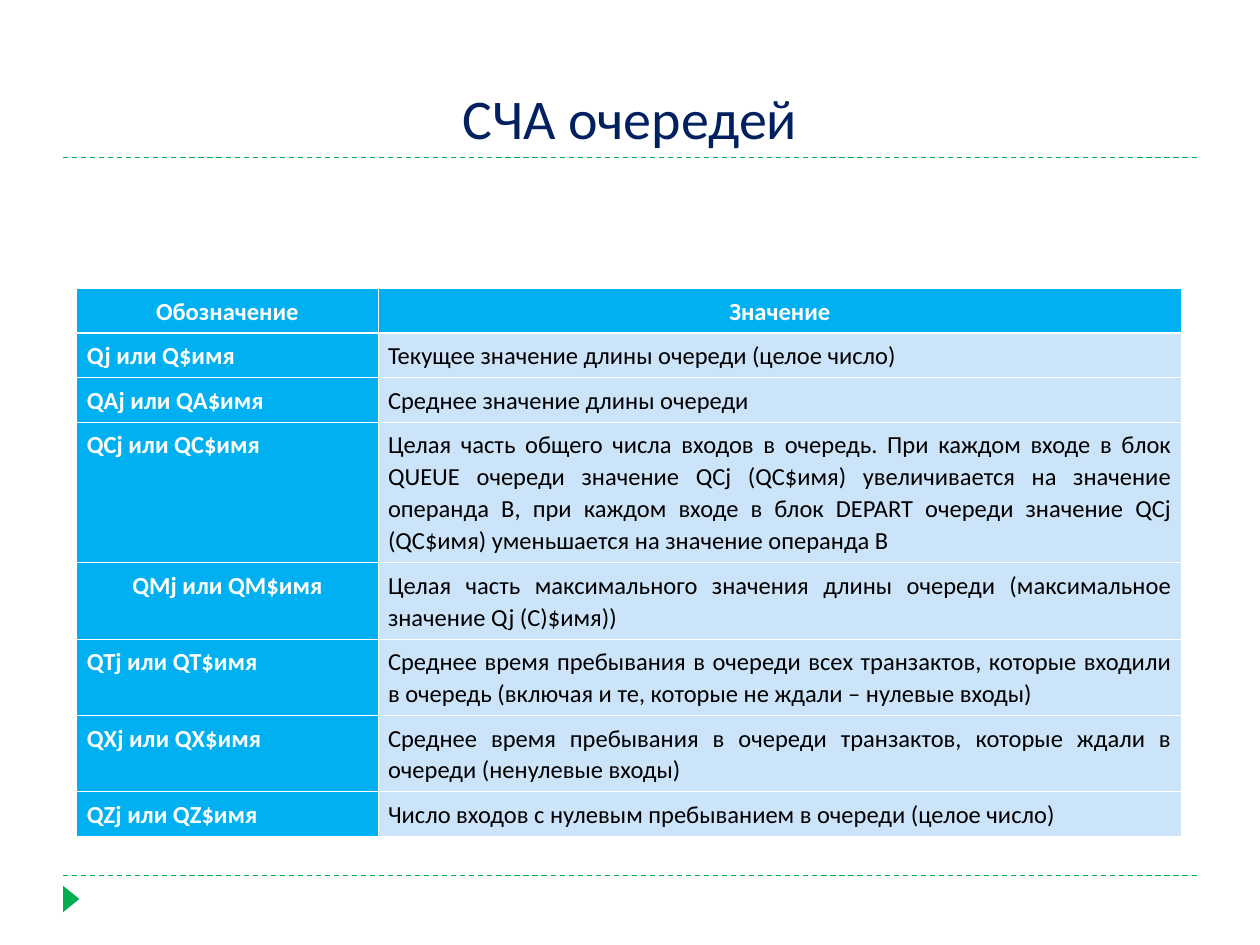
from dataclasses import dataclass

from lxml import etree
from pptx import Presentation
from pptx import util as u
from pptx.dml.color import RGBColor
from pptx.enum import dml, shapes, text
from pptx.oxml import ns


@dataclass(frozen=True)
class Theme:
    font: str = "Calibri"
    title_size: int = 32
    table_size: int = 14
    navy: str = "002060"
    green: str = "00B050"
    blue: str = "00B0F0"
    pale: str = "CBE4F9"
    white: str = "FFFFFF"
    black: str = "000000"
    rule_width: float = 0.75
    border: float = 0.45
    header_border: float = 1.47


THEME = Theme()
WIDTH, HEIGHT = 10, 7.5
MARGIN = WIDTH * 0.05
LINE_HEIGHT = 0.25
COLUMN_WIDTHS = (2.39, 6.38)
LEFT, CENTER, JUSTIFY = text.PP_ALIGN.LEFT, text.PP_ALIGN.CENTER, text.PP_ALIGN.JUSTIFY

HEADER = ("Обозначение", "Значение")
ROWS = [
    ("Qj или Q$имя", LEFT, 1, "Текущее значение длины очереди (целое число)"),
    ("QAj или QA$имя", LEFT, 1, "Среднее значение длины очереди"),
    ("QCj или QC$имя", LEFT, 4,
     "Целая часть общего числа входов в очередь. При каждом входе в блок QUEUE "
     "очереди значение QCj (QC$имя) увеличивается на значение операнда В, при каждом "
     "входе в блок DEPART очереди значение QCj (QC$имя) уменьшается на значение операнда В"),
    ("QMj или QM$имя", CENTER, 2,
     "Целая часть максимального значения длины очереди (максимальное значение Qj (С)$имя))"),
    ("QTj или QT$имя", LEFT, 2,
     "Среднее время пребывания в очереди всех транзактов, которые входили в очередь "
     "(включая и те, которые не ждали – нулевые входы)"),
    ("QXj или QX$имя", LEFT, 2,
     "Среднее время пребывания в очереди транзактов, которые ждали в очереди (ненулевые входы)"),
    ("QZj или QZ$имя", LEFT, 1, "Число входов с нулевым пребыванием в очереди (целое число)"),
]


def color(value):
    return RGBColor.from_string(value)


def add_run(paragraph, content, size, ink, bold=False):
    run = paragraph.add_run()
    run.text = content
    run.font.name = THEME.font
    run.font.size = u.Pt(size)
    run.font.bold = bold
    run.font.color.rgb = color(ink)


def set_title(slide, content):
    title = slide.shapes.title
    title.left, title.top = u.Inches(MARGIN), u.Inches(0.17)
    title.width, title.height = u.Inches(WIDTH - 2 * MARGIN), u.Inches(1.08)
    frame = title.text_frame
    frame.auto_size = text.MSO_AUTO_SIZE.NONE
    frame.vertical_anchor = text.MSO_ANCHOR.BOTTOM
    paragraph = frame.paragraphs[0]
    paragraph.alignment = CENTER
    add_run(paragraph, content, THEME.title_size, THEME.navy)


def add_rule(slide, y):
    rule = slide.shapes.add_connector(
        shapes.MSO_CONNECTOR.STRAIGHT,
        u.Inches(MARGIN), u.Inches(y), u.Inches(WIDTH - MARGIN), u.Inches(y))
    rule.line.color.rgb = color(THEME.green)
    rule.line.width = u.Pt(THEME.rule_width)
    rule.line.dash_style = dml.MSO_LINE.DASH
    etree.SubElement(rule._element.spPr, ns.qn("a:effectLst"))


def add_marker(slide):
    marker = slide.shapes.add_shape(
        shapes.MSO_SHAPE.ISOSCELES_TRIANGLE,
        u.Inches(0.46), u.Inches(7.07), u.Inches(0.21), u.Inches(0.13))
    marker.rotation = 90
    marker.shadow.inherit = False
    marker.fill.solid()
    marker.fill.fore_color.rgb = color(THEME.green)
    marker.line.fill.background()


def set_borders(cell, top, bottom):
    properties = cell._tc.get_or_add_tcPr()
    widths = {"L": THEME.border, "R": THEME.border, "T": top, "B": bottom}
    for side, width in widths.items():
        line = etree.SubElement(properties, ns.qn(f"a:ln{side}"), w=str(int(u.Pt(width))))
        fill = etree.SubElement(line, ns.qn("a:solidFill"))
        etree.SubElement(fill, ns.qn("a:srgbClr"), val=THEME.white)


def fill_cell(table, row, column, content, alignment):
    cell = table.cell(row, column)
    is_label = row == 0 or column == 0
    cell.margin_left = cell.margin_right = u.Inches(0.08)
    cell.margin_top = cell.margin_bottom = u.Inches(0.05)
    set_borders(cell,
                THEME.header_border if row == 1 else THEME.border,
                THEME.header_border if row == 0 else THEME.border)
    cell.fill.solid()
    cell.fill.fore_color.rgb = color(THEME.blue if is_label else THEME.pale)
    paragraph = cell.text_frame.paragraphs[0]
    paragraph.alignment = alignment
    paragraph.line_spacing = 1.07
    add_run(paragraph, content, THEME.table_size,
            THEME.white if is_label else THEME.black, is_label)


def add_queue_table(slide):
    line_counts = [1] + [lines for _, _, lines, _ in ROWS]
    table = slide.shapes.add_table(
        len(line_counts), len(COLUMN_WIDTHS), u.Inches(0.61), u.Inches(2.29),
        u.Inches(sum(COLUMN_WIDTHS)), u.Inches(sum(line_counts) * LINE_HEIGHT)).table
    for column, width in zip(table.columns, COLUMN_WIDTHS):
        column.width = u.Inches(width)
    for row, lines in zip(table.rows, line_counts):
        row.height = u.Inches(lines * LINE_HEIGHT)
    for column, heading in enumerate(HEADER):
        fill_cell(table, 0, column, heading, CENTER)
    for row, (label, alignment, _, meaning) in enumerate(ROWS, start=1):
        fill_cell(table, row, 0, label, alignment)
        fill_cell(table, row, 1, meaning, JUSTIFY)


def main():
    presentation = Presentation()
    presentation.slide_width = u.Inches(WIDTH)
    presentation.slide_height = u.Inches(HEIGHT)
    slide = presentation.slides.add_slide(presentation.slide_layouts[5])
    for y in (6.95, 1.25):
        add_rule(slide, y)
    add_marker(slide)
    set_title(slide, "СЧА очередей")
    add_queue_table(slide)
    presentation.save("out.pptx")


if __name__ == "__main__":
    main()
